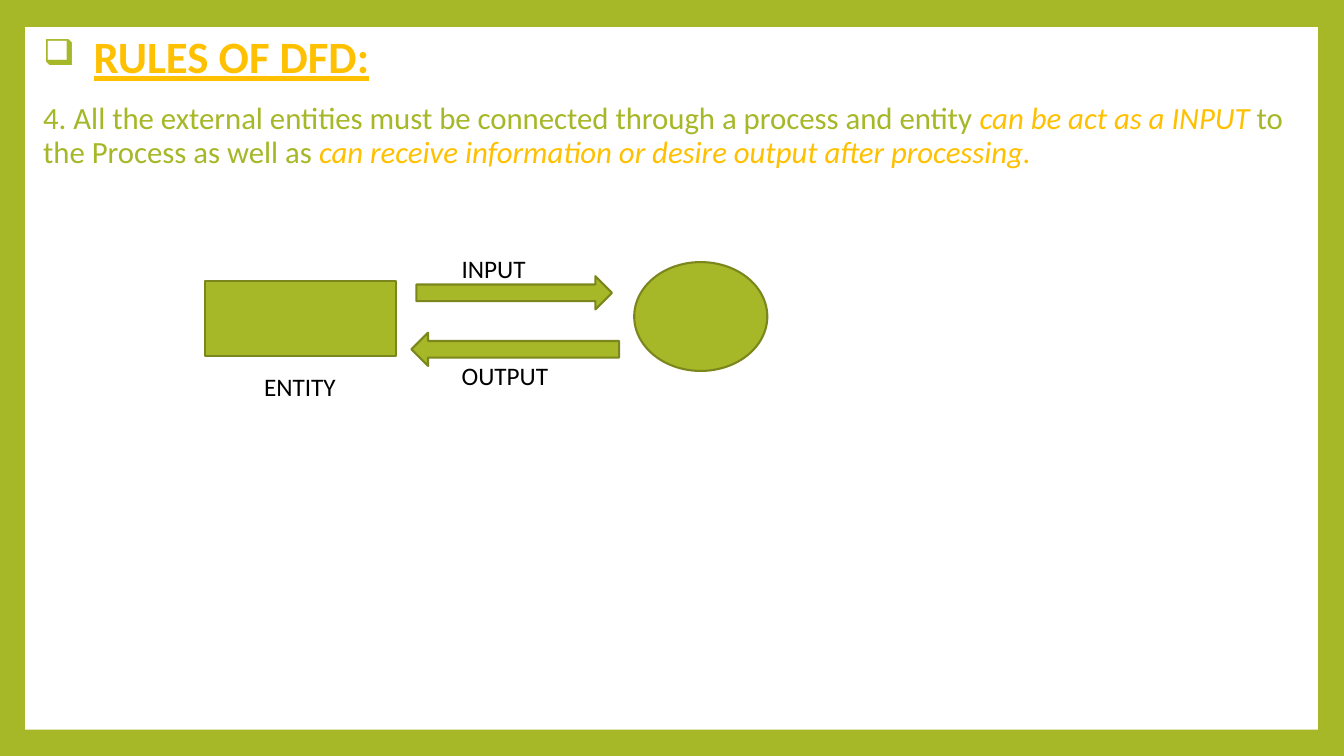
from lxml import etree
from pptx import Presentation
from pptx.dml.color import RGBColor
from pptx.enum.shapes import MSO_SHAPE
from pptx.oxml.ns import qn
from pptx.util import Inches, Pt

RECT, OVAL, ARROW = MSO_SHAPE.RECTANGLE, MSO_SHAPE.OVAL, MSO_SHAPE.RIGHT_ARROW
GREEN = RGBColor(0xA6, 0xB7, 0x27)
OLIVE = RGBColor(0x7B, 0x87, 0x1D)
GOLD = RGBColor(0xFF, 0xC0, 0x00)
WHITE = RGBColor(0xFF, 0xFF, 0xFF)
BLACK = RGBColor(0, 0, 0)
FONT = "Calibri"

# Content
TITLE = "RULES OF DFD:"
RULE = [  # text, stressed
    ("4. All the external entities must be connected through a process and entity ", False),
    ("can be act as a INPUT", True),
    (" to the Process as well as ", False),
    ("can receive information or desire output after processing.", True),
]
PANEL = (0.25, 0.27, 12.82, 6.97)
BODY = (0.33, 0.3, 12.69, 6.85)
SHAPES = [  # kind, box, turn
    (ARROW, (4.13, 2.74, 1.94, 0.33), 0),
    (OVAL, (6.29, 2.6, 1.32, 1.08), 0),
    (ARROW, (4.08, 3.3, 2.06, 0.33), 180),
    (RECT, (2.03, 2.79, 1.9, 0.74), 0),
]
LABELS = [("INPUT", 4.48, 2.46), ("OUTPUT", 4.48, 3.53), ("ENTITY", 2.52, 3.63)]
LABEL_SIZE = (1.15, 0.42)

deck = Presentation()
deck.slide_width, deck.slide_height = Inches(13.33), Inches(7.5)
slide = deck.slides.add_slide(deck.slide_layouts[6])
slide.background.fill.solid()
slide.background.fill.fore_color.rgb = GREEN


def add_shape(kind, box, fill, edge=None, turn=0):
    shape = slide.shapes.add_shape(kind, *map(Inches, box))
    shape.shadow.inherit = False
    shape.fill.solid()
    shape.fill.fore_color.rgb = fill
    if edge is None:
        shape.line.fill.background()
    else:
        shape.line.color.rgb = edge
        shape.line.width = Pt(1.5)
    shape.rotation = turn


def add_frame(box):
    frame = slide.shapes.add_textbox(*map(Inches, box)).text_frame
    frame.word_wrap = True
    return frame


def add_run(para, text, size, color):
    run = para.add_run()
    run.text = text
    run.font.name, run.font.size = FONT, Pt(size)
    run.font.color.rgb = color
    return run


def add_bullet(para, char, color, share, indent):
    props = para._p.get_or_add_pPr()
    props.set("marL", str(Inches(indent)))
    props.set("indent", str(-Inches(indent)))
    tint = etree.SubElement(props, qn("a:buClr"))
    etree.SubElement(tint, qn("a:srgbClr"), val=str(color))
    etree.SubElement(props, qn("a:buSzPct"), val=str(share * 1000))
    etree.SubElement(props, qn("a:buChar"), char=char)


# White panel inside the green border
add_shape(RECT, PANEL, WHITE)

# Heading and rule
frame = add_frame(BODY)
head = frame.paragraphs[0]
add_bullet(head, "❑", GREEN, 80, 0.5)
run = add_run(head, TITLE, 32, GOLD)
run.font.bold = run.font.underline = True
rule = frame.add_paragraph()
rule.space_before = Pt(14)
for text, stressed in RULE:
    run = add_run(rule, text, 22, GOLD if stressed else GREEN)
    run.font.italic = stressed
for para in frame.paragraphs:
    para.line_spacing = 0.9

# Diagram
for kind, box, turn in SHAPES:
    add_shape(kind, box, GREEN, OLIVE, turn)
for text, left, top in LABELS:
    label = add_frame((left, top, *LABEL_SIZE))
    add_run(label.paragraphs[0], text, 18, BLACK)

deck.save("out.pptx")
